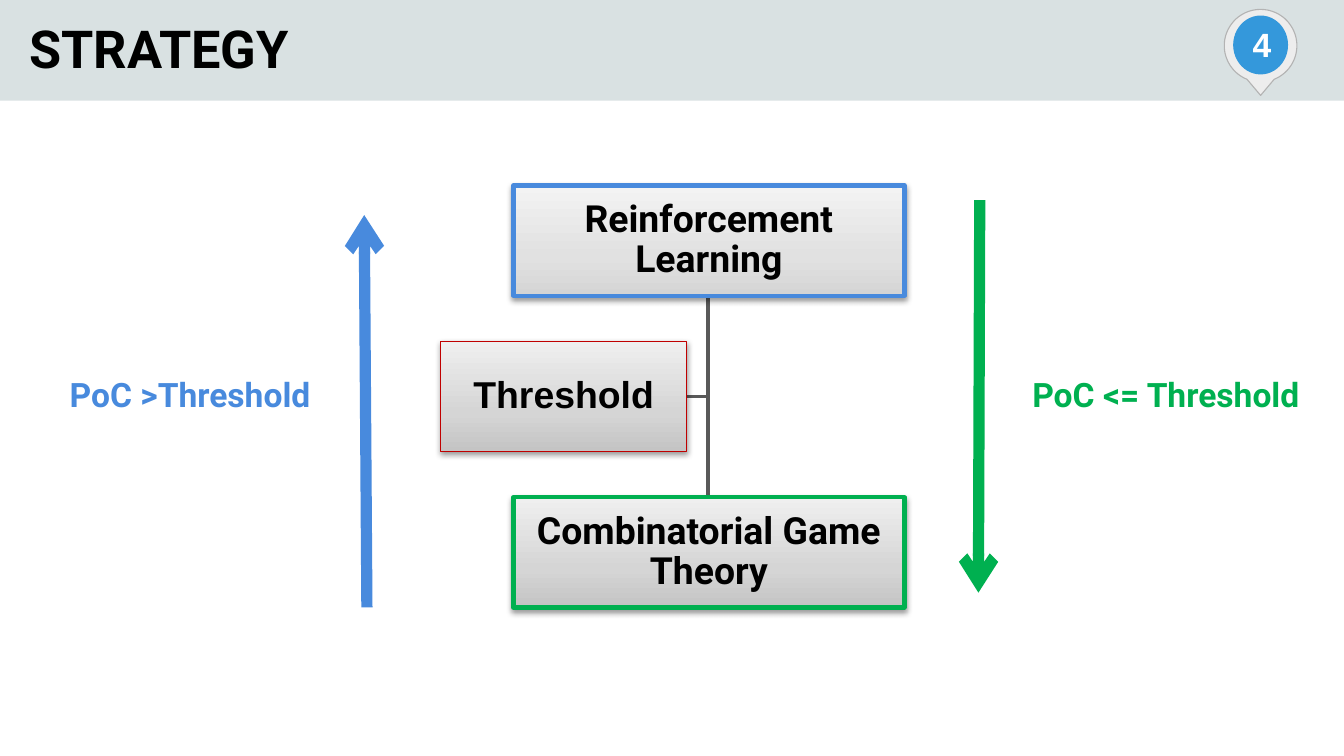
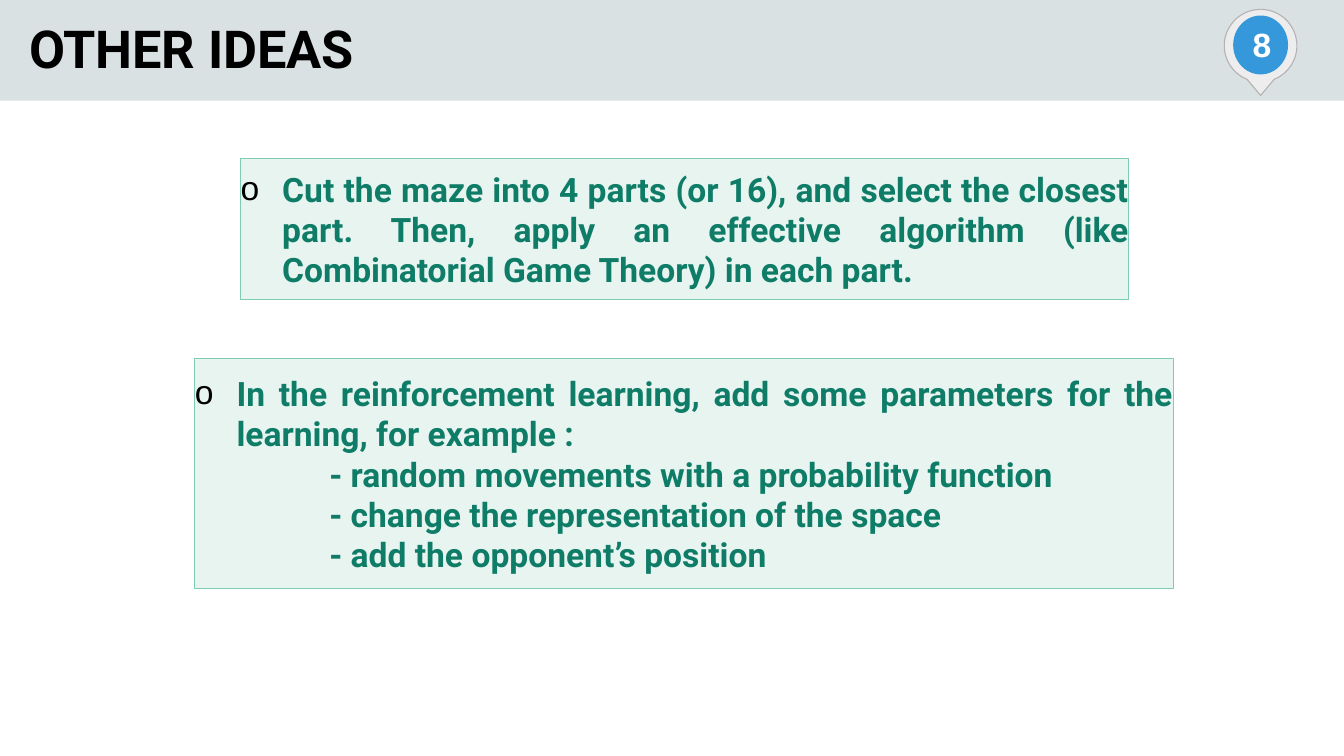
import copy
import math
from dataclasses import dataclass
from typing import Optional

from lxml import etree
from pptx import Presentation
from pptx import util as u
from pptx.dml.color import RGBColor
from pptx.enum import shapes, text
from pptx.oxml import ns

WIDTH, HEIGHT = u.Inches(10), u.Inches(5.625)
COLUMNS, ROWS = 100, 56.25

BLACK = RGBColor(0x00, 0x00, 0x00)
WHITE = RGBColor(0xFF, 0xFF, 0xFF)
BAND = RGBColor(0xD9, 0xE1, 0xE2)
PIN = RGBColor(0xED, 0xED, 0xED)
PIN_EDGE = RGBColor(0xB3, 0xB3, 0xB3)
PIN_BLUE = RGBColor(0x34, 0x98, 0xDB)
BLUE = RGBColor(0x48, 0x8A, 0xDD)
GREEN = RGBColor(0x00, 0xB0, 0x50)
RED = RGBColor(0xC0, 0x00, 0x00)
GREY = RGBColor(0x59, 0x59, 0x59)
TEAL = RGBColor(0x0E, 0x7C, 0x67)
MINT = RGBColor(0xE7, 0xF4, 0xF0)
MINT_EDGE = RGBColor(0x7E, 0xCC, 0xB6)
LIGHT_STOPS = tuple(map(RGBColor.from_string, ("D5D5D5", "E1E1E1", "F3F3F3")))
DARK_STOPS = tuple(map(RGBColor.from_string, ("C4C4C4", "D5D5D5", "EFEFEF")))
STOP_POSITIONS = (0, 0.35, 1)

MIDDLE = text.MSO_ANCHOR.MIDDLE
CENTER = text.PP_ALIGN.CENTER
JUSTIFY = text.PP_ALIGN.JUSTIFY


@dataclass(frozen=True)
class Area:
    col: float
    row: float
    cols: float
    rows: float

    def emu(self) -> tuple:
        return col(self.col), row(self.row), col(self.cols), row(self.rows)


@dataclass(frozen=True)
class Style:
    size: float
    color: RGBColor
    font: str = "Roboto"
    align: Optional[text.PP_ALIGN] = CENTER
    anchor: text.MSO_ANCHOR = MIDDLE
    inset: float = 0.1
    spacing: Optional[float] = None


@dataclass(frozen=True)
class Node:
    label: str
    area: Area
    edge: RGBColor
    edge_width: float
    stops: tuple
    font: str = "Roboto"


@dataclass(frozen=True)
class Flow:
    label: str
    area: Area
    color: RGBColor
    start: tuple
    end: tuple


@dataclass(frozen=True)
class Idea:
    area: Area
    lead: str
    details: tuple = ()


TITLE = Style(28, BLACK, align=None, anchor=text.MSO_ANCHOR.BOTTOM, inset=1)
NUMBER = Style(18, WHITE, font="Arial", inset=0)
IDEA = Style(18, TEAL, align=JUSTIFY, inset=0)

NODE_ROWS, NODE_STEP, FIRST_ROW = 8.2, 11.6, 13.8
TRUNK_COL = 52.7
NODES = (
    Node("Reinforcement Learning", Area(38.2, FIRST_ROW, 29.1, NODE_ROWS),
         BLUE, 2.25, LIGHT_STOPS),
    Node("Threshold", Area(32.8, FIRST_ROW + NODE_STEP, 18.3, NODE_ROWS),
         RED, 0.75, DARK_STOPS, "Arial"),
    Node("Combinatorial Game Theory",
         Area(38.2, FIRST_ROW + 2 * NODE_STEP, 29.1, NODE_ROWS),
         GREEN, 2.25, DARK_STOPS),
)
FLOWS = (
    Flow("PoC >Threshold", Area(2.8, 26.4, 22.7, 6.2), BLUE,
         (27.3, 45.2), (27.1, 16)),
    Flow("PoC <= Threshold", Area(74.4, 26.4, 24.7, 6.2), GREEN,
         (72.9, 14.9), (72.8, 44.1)),
)
IDEAS = (
    Idea(Area(17.9, 11.8, 66.1, 10.5),
         "Cut the maze into 4 parts (or 16), and select the closest part. "
         "Then, apply an effective algorithm (like Combinatorial Game Theory) "
         "in each part."),
    Idea(Area(14.5, 26.7, 72.8, 17.1),
         "In the reinforcement learning, add some parameters for the learning, "
         "for example :",
         ("- random movements with a probability function",
          "- change the representation of the space",
          "- add the opponent’s position")),
)


def col(n: float) -> int:
    return round(n * WIDTH / COLUMNS)


def row(n: float) -> int:
    return round(n * HEIGHT / ROWS)


def sub(parent, tag: str, **attrs):
    return etree.SubElement(parent, ns.qn(tag), attrs)


def write(sp, lines: tuple, style: Style) -> None:
    tf = sp.text_frame
    tf.word_wrap = True
    tf.vertical_anchor = style.anchor
    tf.margin_left = tf.margin_right = col(style.inset)
    tf.margin_top = tf.margin_bottom = row(style.inset)
    tf.text = "\n".join(lines)
    for p in tf.paragraphs:
        p.alignment = style.align
        p.line_spacing = style.spacing
        for r in p.runs:
            r.font.size = u.Pt(style.size)
            r.font.name = style.font
            r.font.bold = True
            r.font.color.rgb = style.color


def add_text(s, label: str, area: Area, style: Style) -> None:
    write(s.shapes.add_textbox(*area.emu()), (label,), style)


def paint(sp, fill: RGBColor, edge: Optional[RGBColor] = None) -> None:
    sp.shadow.inherit = False
    sp.fill.solid()
    sp.fill.fore_color.rgb = fill
    if edge is None:
        sp.line.fill.background()
    else:
        sp.line.color.rgb = edge
        sp.line.width = u.Pt(0.6)


def add_preset(s, kind: shapes.MSO_SHAPE, area: Area, fill: RGBColor,
               edge: Optional[RGBColor] = None):
    sp = s.shapes.add_shape(kind, *area.emu())
    paint(sp, fill, edge)
    return sp


def add_line(s, start: tuple, end: tuple, color: RGBColor, width: float,
             arrow: bool = False) -> None:
    sp = s.shapes.add_connector(shapes.MSO_CONNECTOR.STRAIGHT,
                                col(start[0]), row(start[1]),
                                col(end[0]), row(end[1]))
    sp.line.color.rgb = color
    sp.line.width = u.Pt(width)
    if arrow:
        sub(sp.line._get_or_add_ln(), "a:tailEnd", type="arrow")
    sub(sp._element.spPr, "a:effectLst")


def add_pin(s, number: int) -> None:
    center_col, center_row, radius, gap = 93.8, 3.4, 2.7, 22
    angles = [math.radians(a) for a in range(gap, 361 - gap, 4)]
    arc = [(col(center_col - radius * math.sin(a)),
            row(center_row + radius * math.cos(a))) for a in angles]
    outline = s.shapes.build_freeform(*arc[0])
    outline.add_line_segments(arc[1:] + [(col(center_col), row(7.1))])
    paint(outline.convert_to_shape(), PIN, PIN_EDGE)
    add_preset(s, shapes.MSO_SHAPE.OVAL, Area(91.8, 1.2, 4, 4.3),
               PIN_BLUE, PIN_BLUE)
    add_text(s, str(number), Area(91.6, 1.6, 4.6, 3.4), NUMBER)


def add_slide(prs, title: str, number: int):
    s = prs.slides.add_slide(prs.slide_layouts[6])
    add_preset(s, shapes.MSO_SHAPE.RECTANGLE, Area(0, 0, COLUMNS, 7.5), BAND)
    add_pin(s, number)
    add_text(s, title, Area(1.2, 0.5, 80.1, 6.4), TITLE)
    return s


def add_node(s, node: Node) -> None:
    sp = s.shapes.add_shape(shapes.MSO_SHAPE.RECTANGLE, *node.area.emu())
    sp.fill.gradient()
    sp.fill.gradient_angle = 90
    stop_list = sp._element.spPr.find(".//" + ns.qn("a:gsLst"))
    stop_list.insert(1, copy.deepcopy(stop_list[0]))
    for stop, color, position in zip(sp.fill.gradient_stops, node.stops,
                                     STOP_POSITIONS):
        stop.color.rgb = color
        stop.position = position
    sp.line.color.rgb = node.edge
    sp.line.width = u.Pt(node.edge_width)
    sp.shadow.inherit = False
    effects = sp._element.spPr.find(ns.qn("a:effectLst"))
    shadow = sub(effects, "a:outerShdw", blurRad=str(u.Pt(3.1)),
                 dist=str(u.Pt(1.6)), dir="5400000", rotWithShape="0")
    sub(sub(shadow, "a:srgbClr", val=str(BLACK)), "a:alpha", val="38000")
    write(sp, (node.label,), Style(20, BLACK, node.font, spacing=0.9))


def add_flow(s, flow: Flow) -> None:
    add_line(s, flow.start, flow.end, flow.color, 6, arrow=True)
    add_text(s, flow.label, flow.area, Style(18, flow.color, spacing=0.9))


def add_idea(s, idea: Idea) -> None:
    sp = add_preset(s, shapes.MSO_SHAPE.RECTANGLE, idea.area, MINT, MINT_EDGE)
    write(sp, (idea.lead, *idea.details), IDEA)
    lead, *details = sp.text_frame.paragraphs
    props = lead._p.get_or_add_pPr()
    props.set("marL", str(col(3.1)))
    props.set("indent", str(-col(3.1)))
    sub(sub(props, "a:buClr"), "a:srgbClr", val=str(BLACK))
    sub(props, "a:buFont", typeface="Arial")
    sub(props, "a:buChar", char="o")
    for p in details:
        p._p.get_or_add_pPr().set("marL", str(col(10)))


def main() -> None:
    prs = Presentation()
    prs.slide_width, prs.slide_height = WIDTH, HEIGHT

    s = add_slide(prs, "STRATEGY", 4)
    top, threshold, bottom = (node.area for node in NODES)
    branch_row = threshold.row + threshold.rows / 2
    add_line(s, (TRUNK_COL, top.row + top.rows), (TRUNK_COL, bottom.row), GREY, 2)
    add_line(s, (TRUNK_COL, branch_row),
             (threshold.col + threshold.cols, branch_row), GREY, 2)
    for node in NODES:
        add_node(s, node)
    for flow in FLOWS:
        add_flow(s, flow)

    s = add_slide(prs, "OTHER IDEAS", 8)
    for idea in IDEAS:
        add_idea(s, idea)

    prs.save("out.pptx")


if __name__ == "__main__":
    main()
